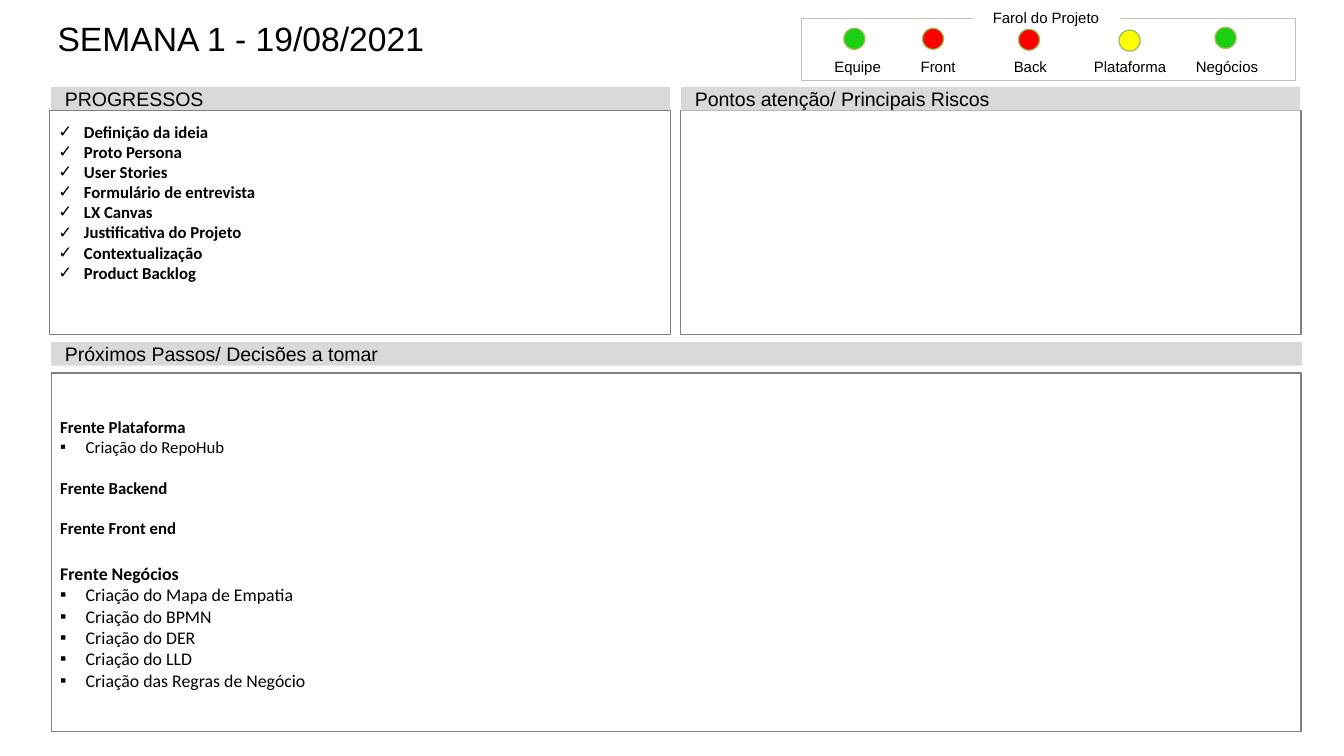
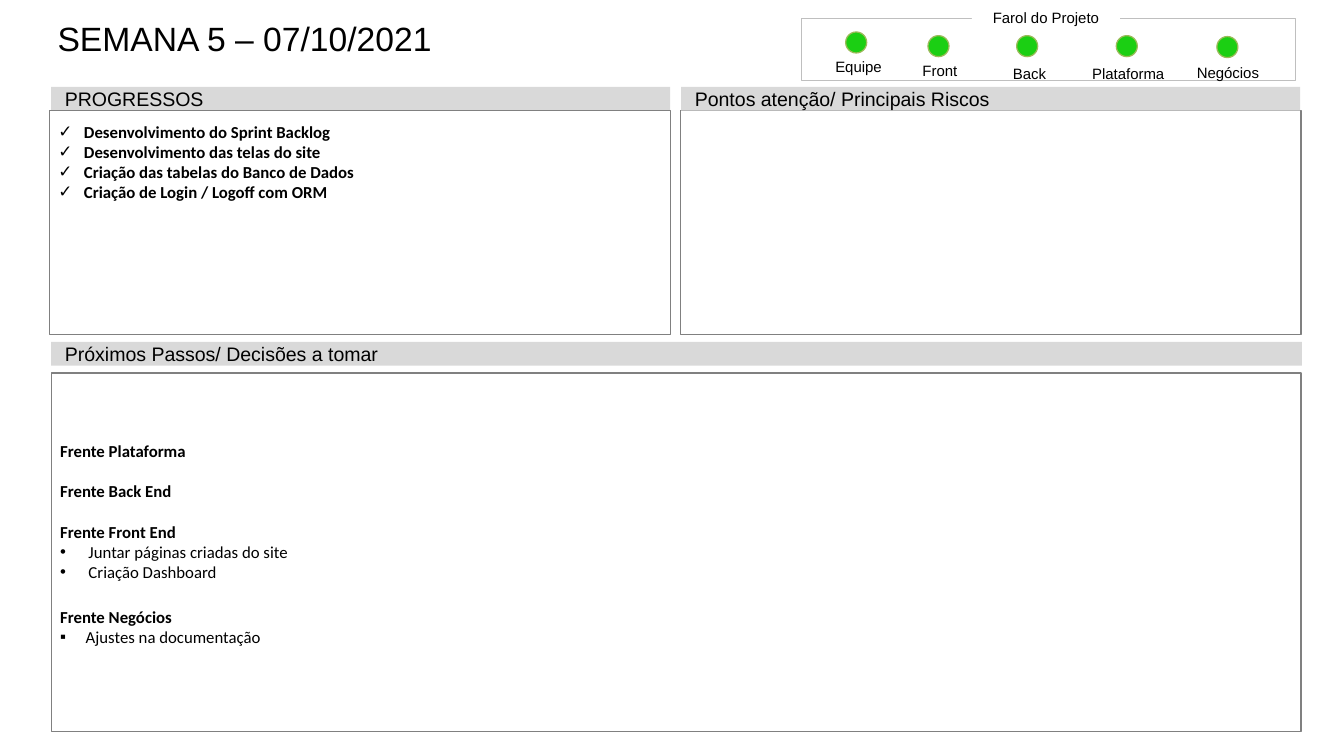
from pptx import Presentation
from pptx.dml.color import RGBColor
from pptx.enum.shapes import MSO_SHAPE as Preset
from pptx.enum.text import MSO_ANCHOR as Anchor, PP_ALIGN as Align
from pptx.oxml.ns import qn
from pptx.util import Inches, Pt
from lxml.etree import SubElement

# Grid: square cells of a tenth of an inch
CELL = 0.1
COLUMNS, ROWS = 147, 82.7

# Palette
BLACK, WHITE, BAND, BORDER, FRAME = "000000", "FFFFFF", "D9D9D9", "808080", "BFBFBF"
GREEN, RED, YELLOW, LIGHT_EDGE = "1BCF13", "FF0000", "FFFF00", "9BBB59"

# Text styles
TITLE = dict(name="Arial", size=26.5)
HEADER = dict(name="Arial", size=15.4)
LABEL = dict(name="Arial", size=11.8)
ITEM = dict(name="Calibri", size=13.2, bold=False)
STRONG = ITEM | dict(bold=True)

# Frame formats: margins are left, top, right, bottom in cells
TITLE_FRAME = dict(margins=(1.2, 0, 1.2, 0), vertical_anchor=Anchor.TOP)
HEADER_FRAME = dict(margins=(1.5, 0.7, 1.5, 0.7), vertical_anchor=Anchor.MIDDLE)
LABEL_FRAME = dict(margins=(0.6, 0.6, 0.6, 0), vertical_anchor=Anchor.BOTTOM, word_wrap=False)

CHECK, SQUARE, DOT = "✓", "▪", "•"
HANGING = {CHECK: 2.8, SQUARE: 2.8, DOT: 3.1}
LIGHT_SIZE = 2.3
LABEL_WIDTH, LABEL_HEIGHT = 9.8, 2


def cells(count):
    return Inches(count * CELL)


def color(hex_string):
    return RGBColor.from_string(hex_string)


def set_values(target, values):
    for name, value in values.items():
        setattr(target, name, value)


class StatusReport:
    """Holds the presentation, its style and the current slide."""

    def __init__(self):
        self.presentation = Presentation()
        set_values(self.presentation, dict(slide_width=cells(COLUMNS), slide_height=cells(ROWS)))
        self.slide = None

    def new_slide(self):
        self.slide = self.presentation.slides.add_slide(self.presentation.slide_layouts[6])

    def shape(self, box, fill=None, line=None, width=1, preset=Preset.RECTANGLE):
        shape = self.slide.shapes.add_shape(preset, *map(cells, box))
        shape.shadow.inherit = False
        for part, value in ((shape.fill, fill), (shape.line.fill, line)):
            if value:
                part.solid()
                part.fore_color.rgb = color(value)
            else:
                part.background()
        if line:
            shape.line.width = Pt(width)
        return shape

    def text_box(self, box):
        return self.slide.shapes.add_textbox(*map(cells, box))

    def format_frame(self, shape, margins, **values):
        sides = ("margin_left", "margin_top", "margin_right", "margin_bottom")
        sizes = dict(zip(sides, map(cells, margins)))
        set_values(shape.text_frame, dict(word_wrap=True) | sizes | values)

    def add_text(self, shape, text, style, align=Align.LEFT, bullet=None, gap=0):
        """Fill the first paragraph, or add one after the others."""
        frame = shape.text_frame
        paragraph = frame.add_paragraph() if frame.text else frame.paragraphs[0]
        set_values(paragraph, dict(alignment=align, space_before=Pt(gap)))
        run = paragraph.add_run()
        run.text = text
        set_values(run.font, style | dict(size=Pt(style["size"])))
        run.font.color.rgb = color(BLACK)
        if bullet:
            properties = paragraph._p.get_or_add_pPr()
            indent = cells(HANGING[bullet])
            properties.set("marL", str(indent))
            properties.set("indent", str(-indent))
            SubElement(properties, qn("a:buFont")).set("typeface", "Arial")
            SubElement(properties, qn("a:buChar")).set("char", bullet)

    def title(self, text):
        box = self.text_box((5.1, 2, 82, 6))
        self.format_frame(box, **TITLE_FRAME)
        self.add_text(box, text, TITLE)

    def header(self, text, box):
        band = self.shape(box, fill=BAND)
        self.format_frame(band, **HEADER_FRAME)
        self.add_text(band, text, HEADER)

    def label(self, shape, text):
        self.format_frame(shape, **LABEL_FRAME)
        self.add_text(shape, text, LABEL, Align.CENTER)

    def panel(self, box, top_margin=1.2):
        panel = self.shape(box, line=BORDER)
        self.format_frame(panel, (1, top_margin, 1, 0.5), vertical_anchor=Anchor.TOP)
        return panel

    def lights(self, lights):
        self.shape((87.7, 2, 54, 6.8), line=FRAME, width=0.5)
        self.label(self.shape((106.3, 0.6, 16.2, 2.3), fill=WHITE), "Farol do Projeto")
        for name, label_left, label_top, light_left, light_top, fill in lights:
            self.shape((light_left, light_top, LIGHT_SIZE, LIGHT_SIZE),
                       fill, LIGHT_EDGE, preset=Preset.OVAL)
            self.label(self.text_box((label_left, label_top, LABEL_WIDTH, LABEL_HEIGHT)), name)

    def progress(self, items):
        panel = self.panel((5.4, 12.1, 67.9, 24.5))
        for item in items:
            self.add_text(panel, item, STRONG, bullet=CHECK)

    def next_steps(self, top_margin, fronts):
        panel = self.panel((5.6, 40.8, 136.7, 39.2), top_margin)
        for name, gap, size, bullet, items in fronts:
            self.add_text(panel, name, STRONG | dict(size=size), gap=gap)
            for item in items:
                self.add_text(panel, item, ITEM | dict(size=size), bullet=bullet)

    def week(self, title, lights, progress, top_margin, fronts):
        self.new_slide()
        self.title(title)
        self.panel((74.4, 12.1, 67.9, 24.5))
        self.header("PROGRESSOS", (5.6, 9.5, 67.7, 2.6))
        self.header("Pontos atenção/ Principais Riscos", (74.5, 9.5, 67.7, 2.6))
        self.header("Próximos Passos/ Decisões a tomar", (5.6, 37.4, 136.8, 2.6))
        self.progress(progress)
        self.next_steps(top_margin, fronts)
        self.lights(lights)


report = StatusReport()

# Week 1
report.week(
    "SEMANA 1 - 19/08/2021",
    lights=[
        ("Equipe", 88.9, 6.3, 92.3, 3.1, GREEN),
        ("Front", 97.7, 6.3, 100.9, 3.1, RED),
        ("Back", 107.8, 6.3, 111.4, 3.2, RED),
        ("Plataforma", 118.7, 6.3, 122.4, 3.3, YELLOW),
        ("Negócios", 129.3, 6.3, 132.9, 3, GREEN),
    ],
    progress=["Definição da ideia", "Proto Persona", "User Stories",
              "Formulário de entrevista", "LX Canvas", "Justificativa do Projeto",
              "Contextualização", "Product Backlog"],
    top_margin=4.8,
    fronts=[
        ("Frente Plataforma", 0, 13.2, SQUARE, ["Criação do RepoHub"]),
        ("Frente Backend", 16, 13.2, None, []),
        ("Frente Front end", 16, 13.2, None, []),
        ("Frente Negócios", 19.5, 14, SQUARE, [
            "Criação do Mapa de Empatia", "Criação do BPMN", "Criação do DER",
            "Criação do LLD", "Criação das Regras de Negócio"]),
    ],
)

# Week 5
report.week(
    "SEMANA 5 – 07/10/2021",
    lights=[
        ("Equipe", 89, 6.3, 92.5, 3.5, GREEN),
        ("Front", 97.9, 6.7, 101.5, 3.9, GREEN),
        ("Back", 107.7, 7, 111.2, 3.9, GREEN),
        ("Plataforma", 118.5, 7, 122.1, 3.9, GREEN),
        ("Negócios", 129.4, 6.9, 133.1, 4, GREEN),
    ],
    progress=["Desenvolvimento do Sprint Backlog", "Desenvolvimento das telas do site",
              "Criação das tabelas do Banco de Dados", "Criação de Login / Logoff com ORM"],
    top_margin=7.4,
    fronts=[
        ("Frente Plataforma", 0, 13.2, None, []),
        ("Frente Back End", 16, 13.2, None, []),
        ("Frente Front End", 16, 13.2, DOT,
         ["Juntar páginas criadas do site", "Criação Dashboard"]),
        ("Frente Negócios", 19.5, 13.2, SQUARE, ["Ajustes na documentação"]),
    ],
)

report.presentation.save("out.pptx")
